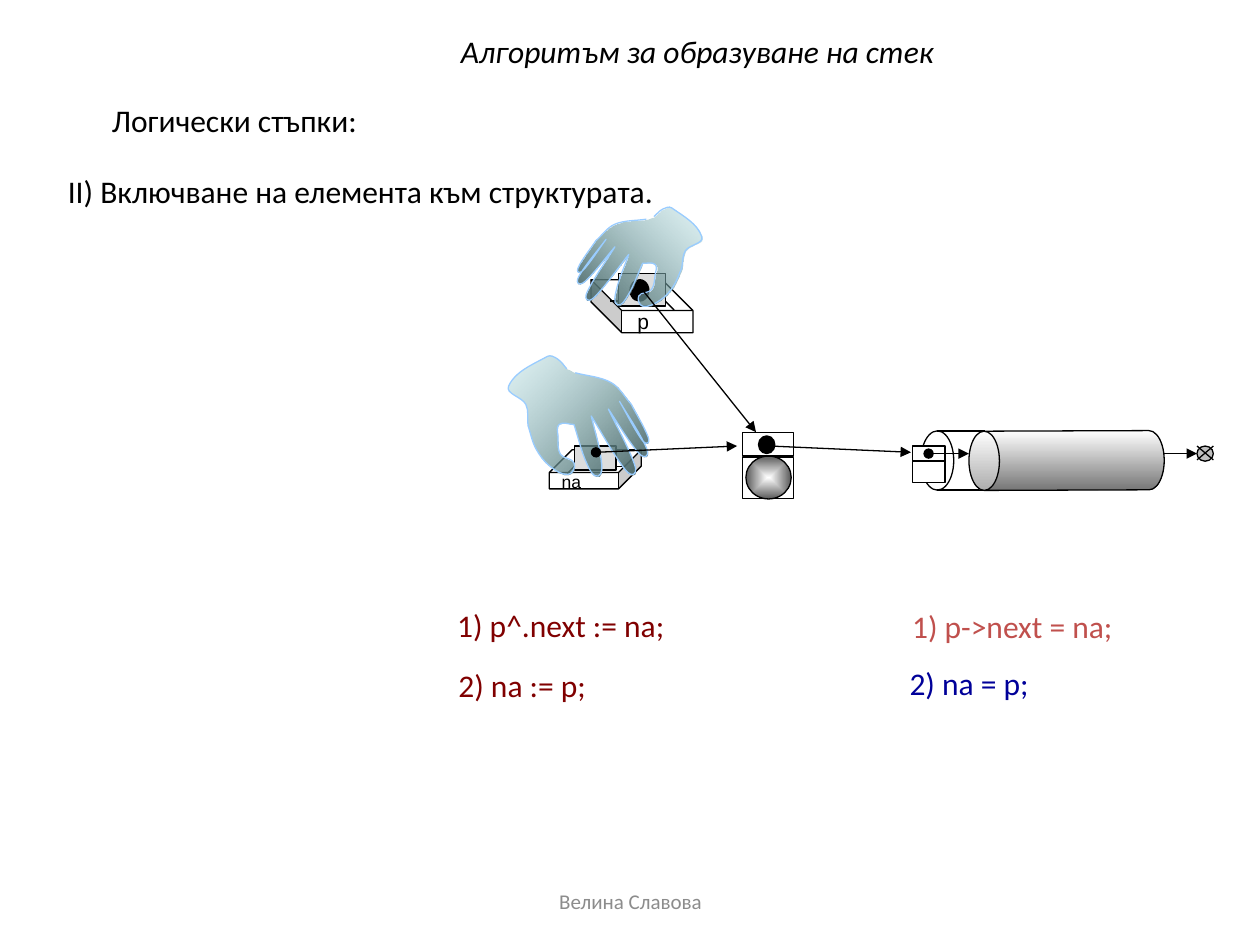
from itertools import pairwise
from math import cos, radians, sin

from lxml import etree
from pptx import Presentation
from pptx import util as u
from pptx.dml.color import RGBColor
from pptx.enum import shapes, text
from pptx.oxml import parse_xml
from pptx.oxml.ns import nsdecls, qn

KIND = shapes.MSO_SHAPE
COLUMN = ROW = u.Inches(0.1)
COLUMNS, ROWS = 100, 75


class Theme:
    ink, paper, node_shade, cylinder_shade = "000000", "FFFFFF", "595959", "767676"
    tile, ground = "DDDDDD", "C0C0C0"
    glove_dark, glove_light, glove_edge = "476163", "9AD2D6", "99CCFF"
    maroon, red, navy, muted = "800000", "C0504D", "000099", "8C8C8C"
    sans, label_font = "Calibri", "Arial"
    body, small, tiny = 18, 12, 10
    stroke = 0.75


class Hand:
    cuff_top, knuckle, palm = 0.35 - 2.85j, -3.65 - 1.15j, 3.15 + 1.05j
    webs = [knuckle, -2.85 - 1.25j, -2.15 - 0.65j, -1.05 - 0.05j, 0.05 + 0.65j]
    fingertips = [-5.05 + 1.35j, -5.05 + 2.25j, -4.35 + 3.55j, -1.95 + 3.95j]
    finger_widths = [0.5, 0.7, 0.8, 1]
    back = [cuff_top, -2.15 - 2.45j, knuckle]
    thumb = [webs[-1], 1.05 + 0.75j, 1.05 + 1.55j, 0.75 + 2.75j, -0.25 + 3.25j,
             0.05 + 4.05j, 1.35 + 3.65j, 2.45 + 2.55j, palm]
    cuff = [palm, 3.45 - 0.35j, 4.75 - 1.45j, 2.35 - 3.75j, 1.65 - 3.65j, 0.95 - 3.05j]


def place(*cells):
    return [round(cell * unit) for cell, unit in zip(cells, (COLUMN, ROW) * 2)]


def outline(line, color=Theme.ink):
    line.width = u.Pt(Theme.stroke)
    line.color.rgb = RGBColor.from_string(color)


def add_block(page, kind, cells, fill=Theme.paper, mirror=None, adjust=None):
    block = page.shapes.add_shape(kind, *place(*cells))
    block.shadow.inherit = False
    block.fill.solid()
    block.fill.fore_color.rgb = RGBColor.from_string(fill)
    outline(block.line)
    if adjust is not None:
        block.adjustments[0] = adjust
    if mirror:
        block._element.spPr.find(qn("a:xfrm")).set(mirror, "1")
    return block


def set_gradient(shape, first, last, direction, last_alpha=100):
    gradient = parse_xml(
        f'<a:gradFill {nsdecls("a")} rotWithShape="0"><a:gsLst>'
        f'<a:gs pos="0"><a:srgbClr val="{first}"/></a:gs><a:gs pos="100000">'
        f'<a:srgbClr val="{last}"><a:alpha val="{last_alpha * 1000}"/></a:srgbClr></a:gs>'
        f'</a:gsLst>{direction}</a:gradFill>')
    properties = shape._element.spPr
    properties.replace(properties.find(qn("a:solidFill")), gradient)


def linear(angle):
    return f'<a:lin ang="{angle * 60000}" scaled="0"/>'


def add_line(page, start, end, head=None, tail=None):
    line = page.shapes.add_connector(
        shapes.MSO_CONNECTOR.STRAIGHT, *place(*start), *place(*end))
    outline(line.line)
    stroke = line.line._get_or_add_ln()
    for tag, kind in (("a:headEnd", head), ("a:tailEnd", tail)):
        if kind:
            etree.SubElement(stroke, qn(tag)).set("type", kind)
    etree.SubElement(line._element.spPr, qn("a:effectLst"))


def add_text(page, cells, words, size=Theme.body, color=Theme.ink, font=Theme.sans,
             italic=False, wrap=False, middle=False, centred=False):
    box = page.shapes.add_textbox(*place(*cells))
    frame = box.text_frame
    frame.word_wrap = wrap
    frame.auto_size = (text.MSO_AUTO_SIZE.NONE if wrap
                       else text.MSO_AUTO_SIZE.SHAPE_TO_FIT_TEXT)
    if middle:
        frame.vertical_anchor = text.MSO_ANCHOR.MIDDLE
    para = frame.paragraphs[0]
    para.text = words
    para.font.size, para.font.name, para.font.italic = u.Pt(size), font, italic
    para.font.color.rgb = RGBColor.from_string(color)
    if centred:
        para.alignment = text.PP_ALIGN.CENTER


def unit(vector):
    return vector / abs(vector)


def finger(web_before, web_after, tip, width):
    along = unit(tip - (web_before + web_after) / 2)
    pad, half = tip - along * width, along * -1j * width / 2
    return [web_before, pad - half, tip, pad + half, web_after]


def smooth(points):
    padded = [points[0], *points, points[-1]]
    headings = [unit(after - before) for before, after in zip(padded, padded[2:])]
    for (start, end), (leave, arrive) in zip(pairwise(points), pairwise(headings)):
        reach = abs(end - start) / 3
        yield from (start + leave * reach, end - arrive * reach, end)


def hand_strokes():
    fingers = map(finger, Hand.webs, Hand.webs[1:], Hand.fingertips, Hand.finger_widths)
    return [Hand.back, *fingers, Hand.thumb, Hand.cuff]


def bend_segments(shape):
    segments = list(shape._element.iter(qn("a:lnTo")))
    for index in range(0, len(segments), 3):
        curve = etree.Element(qn("a:cubicBezTo"))
        segments[index].addprevious(curve)
        for segment in segments[index:index + 3]:
            curve.append(segment[0])
            segment.getparent().remove(segment)


def add_hand(page, centre, light_angle, scale=1, turn=0, mirrored=False):
    spin = scale * complex(cos(radians(turn)), sin(radians(turn)))

    def locate(point):
        spot = centre + spin * (-point.conjugate() if mirrored else point)
        return place(spot.real, spot.imag)

    builder = page.shapes.build_freeform(*locate(Hand.cuff_top))
    for stroke in hand_strokes():
        builder.add_line_segments([locate(point) for point in smooth(stroke)], close=False)
    hand = builder.convert_to_shape()
    bend_segments(hand)
    hand.shadow.inherit = False
    hand.fill.solid()
    set_gradient(hand, Theme.glove_dark, Theme.glove_light, linear(light_angle), 30)
    outline(hand.line, Theme.glove_edge)


def add_new_node(page):
    add_block(page, KIND.RECTANGLE, (58.9, 36.3, 4.1, 3.3))
    ball = add_block(page, KIND.OVAL, (59.2, 36.2, 3.6, 3.4))
    centre = '<a:path path="shape"><a:fillToRect l="50000" t="50000" r="50000" b="50000"/></a:path>'
    set_gradient(ball, Theme.paper, Theme.node_shade, centre)
    add_block(page, KIND.RECTANGLE, (58.9, 34.3, 4.1, 1.9))


def add_stack(page):
    add_block(page, KIND.OVAL, (73.1, 34.2, 2.6, 4.7))
    for top, height in ((36.5, 1.8), (35.4, 1.2)):
        add_block(page, KIND.RECTANGLE, (72.4, top, 2.6, height))
    add_line(page, (73.7, 36), (76.9, 36), "oval", "triangle")
    add_line(page, (91.8, 36), (95, 36), tail="triangle")
    add_block(page, KIND.OVAL, (95, 35.4, 1.3, 1.2), Theme.ground)
    for top, bottom in ((35.4, 36.5), (36.5, 35.4)):
        add_line(page, (95, top), (96.3, bottom))
    for edge in (34.2, 38.9):
        add_line(page, (74.4, edge), (78.2, edge))
    cylinder = add_block(page, KIND.CAN, (82.3, 28.8, 4.7, 15.5), adjust=0.515)
    cylinder.rotation = 269.8
    set_gradient(cylinder, Theme.paper, Theme.cylinder_shade, linear(90))


def add_pointer_box(page, cube, corner, depth, far_side, notch, tile, mirror=None):
    left, top = corner
    floor = top + depth
    add_block(page, KIND.CUBE, cube, mirror=mirror, adjust=0.583)
    for start, end in ((corner, (left, floor)),
                       ((far_side, floor), (left, floor)),
                       ((left, floor), (left + notch, floor + abs(notch)))):
        add_line(page, start, end)
    add_block(page, KIND.RECTANGLE, tile, Theme.tile)


def add_labels(page):
    add_text(page, (4.4, 13.2, 48.5, 3.7), "II) Включване на елемента към структурата.")
    for cells, words, color in (
            ((35.3, 47.6, 19.1, 3.7), "1) p^.next := na;", Theme.maroon),
            ((71.4, 47.7, 18.5, 3.7), "1) p->next = na;", Theme.red),
            ((35.4, 52.4, 12.6, 3.7), "2) na := p;", Theme.maroon),
            ((71.2, 52.2, 11.9, 3.7), "2) na = p;", Theme.navy)):
        add_text(page, cells, words, color=color)


def main():
    deck = Presentation()
    deck.slide_width, deck.slide_height = COLUMN * COLUMNS, ROW * ROWS
    page = deck.slides.add_slide(deck.slide_layouts[6])
    add_new_node(page)
    add_text(page, (35.6, 2.2, 41.9, 3.7), "Алгоритъм за образуване на стек",
             italic=True, middle=True)
    add_text(page, (7.9, 7.5, 22.6, 3.7), "Логически стъпки:")
    add_stack(page)
    add_pointer_box(page, (43.6, 35.7, 7.3, 3.1), (45.6, 35.7), 1.3, 49.6, -0.6,
                    (45.6, 35.4, 3.3, 1.9))
    add_text(page, (43.6, 36.9, 5.3, 2.7), "na", Theme.tiny, font=Theme.label_font, wrap=True)
    add_block(page, KIND.OVAL, (60.2, 34.6, 1.3, 1.4), Theme.ink)
    add_pointer_box(page, (46.9, 22.2, 8.1, 4.2), (52.8, 22.2), 1.7, 48.4, 0.7,
                    (49.1, 21.7, 3.7, 2.6), mirror="flipH")
    add_block(page, KIND.OVAL, (50, 22.2, 1.5, 1.7), Theme.ink)
    add_text(page, (49.6, 24, 5.9, 4.2), "p", Theme.small, font=Theme.label_font, wrap=True)
    add_hand(page, 50.95 + 20.25j, 315)
    add_line(page, (50.9, 22.9), (60, 34.3), tail="triangle")
    add_labels(page)
    add_line(page, (61.1, 35.4), (72.3, 35.9), tail="triangle")
    add_hand(page, 45.7 + 32.95j, 225, scale=1.17, turn=6.3, mirrored=True)
    add_line(page, (47.3, 35.9), (58.5, 35.4), "oval", "triangle")
    add_text(page, (34.2, 69.5, 31.7, 4), "Велина Славова", Theme.small, Theme.muted,
             wrap=True, middle=True, centred=True)
    deck.save("out.pptx")


if __name__ == "__main__":
    main()
